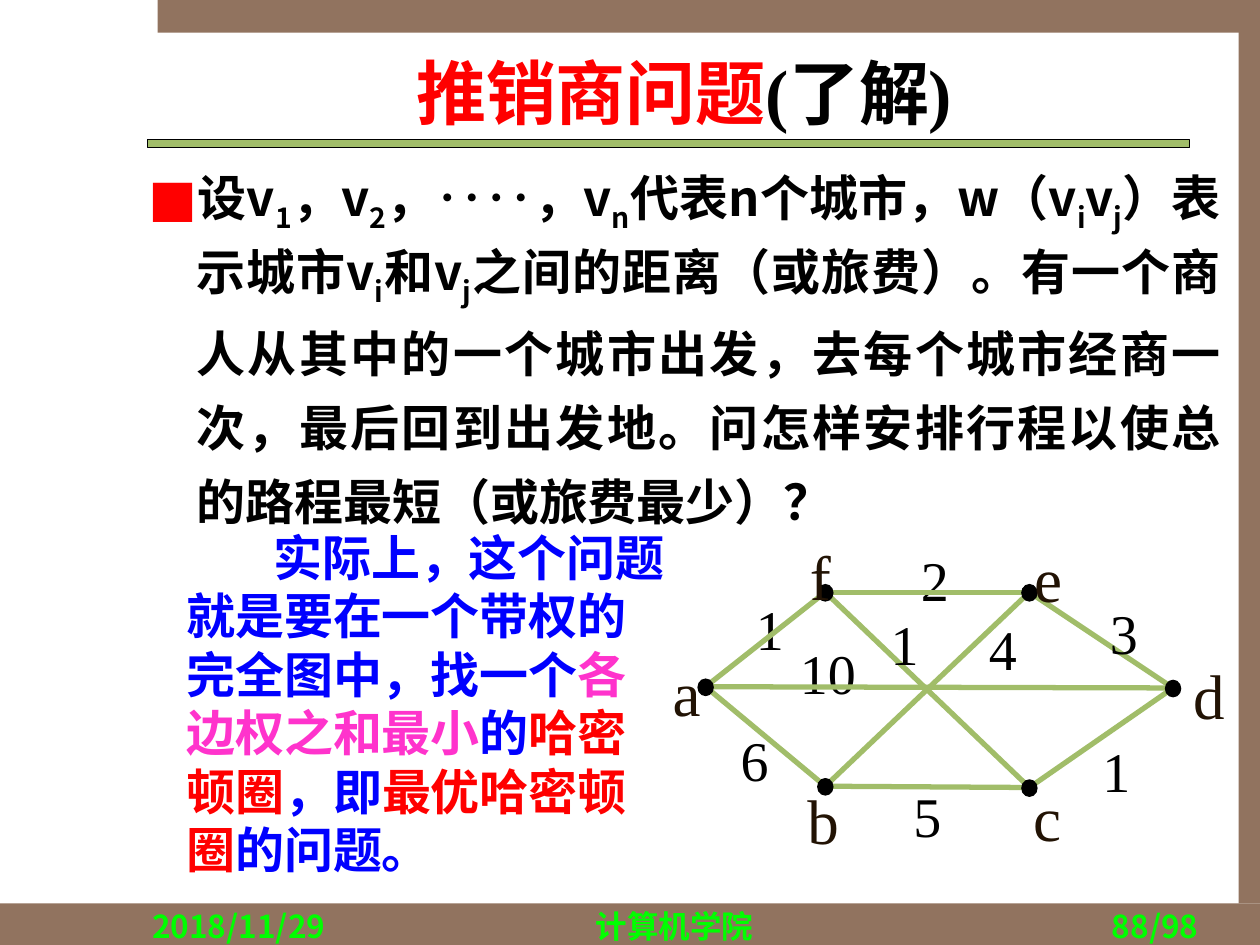
from dataclasses import dataclass
from typing import Any, NamedTuple

from lxml import etree
from pptx import Presentation
from pptx.dml.color import RGBColor
from pptx.enum.shapes import MSO_CONNECTOR, MSO_SHAPE
from pptx.enum.text import MSO_ANCHOR, MSO_AUTO_SIZE, PP_ALIGN
from pptx.oxml.ns import qn
from pptx.util import Inches, Pt

RECT, OVAL = MSO_SHAPE.RECTANGLE, MSO_SHAPE.OVAL
LEFT, MID, RIGHT, JUST = PP_ALIGN.LEFT, PP_ALIGN.CENTER, PP_ALIGN.RIGHT, PP_ALIGN.JUSTIFY


@dataclass(frozen=True)
class Theme:
    """Colours, fonts and type sizes of the slide."""
    brown: str = "91735F"
    green: str = "A1BD69"
    lime: str = "00FF00"
    black: str = "000000"
    dark: str = "221304"
    red: str = "FF0000"
    blue: str = "0000FF"
    pink: str = "FF33CC"
    sans: str = "Noto Sans CJK SC"
    serif: str = "Times New Roman"
    title: int = 40
    body: int = 28
    foot: int = 18
    node: int = 36
    cost: int = 32


class Box(NamedTuple):
    """A place on the slide in inches."""
    x: float
    y: float
    w: float
    h: float


class Bar(NamedTuple):
    """A filled bar of the frame."""
    box: Box
    fill: str
    edge: bool = False


class Foot(NamedTuple):
    """A footer entry."""
    text: str
    x: float
    w: float
    align: Any


class Mark(NamedTuple):
    """A label of the graph."""
    text: str
    x: float
    y: float
    w: float = 0.42


class Span(NamedTuple):
    """A piece of coloured text."""
    text: str
    hue: str


T = Theme()
BARS = (
    Bar(Box(0, 7.17, 10, 0.33), T.brown),
    Bar(Box(1.25, 0, 8.75, 0.26), T.brown),
    Bar(Box(9.83, 0.25, 0.17, 6.92), T.brown),
    Bar(Box(1.17, 1.11, 8.27, 0.06), T.green, True),
)
FEET = (
    Foot("2018/11/29", 1.11, 2.08, LEFT),
    Foot("计算机学院", 3.19, 4.33, MID),
    Foot("88/98", 7.53, 2.08, RIGHT),
)
HEAD = (Span("推销商问题", T.red), Span("(了解)", T.black))
# Every second piece between bars is a subscript.
TASK = ("设v|1|，v|2|，‥‥，v|n|代表n个城市，w（v|i|v|j|）表示城市v|i|和v|j|"
        "之间的距离（或旅费）。有一个商人从其中的一个城市出发，去每个城市经商一次，"
        "最后回到出发地。问怎样安排行程以使总的路程最短（或旅费最少）？")
NOTE = (
    Span("实际上，这个问题就是要在一个带权的完全图中，找一个", T.blue),
    Span("各边权之和最小", T.pink), Span("的", T.blue),
    Span("哈密顿圈", T.red), Span("，即", T.blue),
    Span("最优哈密顿圈", T.red), Span("的问题。", T.blue),
)
NODES = {"a": (5.6, 5.45), "b": (6.55, 6.24), "c": (8.17, 6.25),
         "d": (9.31, 5.46), "e": (8.17, 4.7), "f": (6.55, 4.7)}
EDGES = ("be", "fc", "ab", "bc", "cd", "ad", "af", "fe", "ed")
BACK = (
    Mark("a", 5.24, 5.14), Mark("b", 6.31, 6.15, 0.45),
    Mark("c", 8.1, 6.13), Mark("d", 9.37, 5.16, 0.45),
    Mark("1", 5.9, 4.67), Mark("2", 7.21, 4.28), Mark("5", 7.15, 6.15),
    Mark("6", 5.78, 5.71), Mark("10", 6.25, 5.02, 0.65),
)
FRONT = (
    Mark("f", 6.33, 4.22, 0.37), Mark("e", 8.11, 4.23),
    Mark("1", 6.97, 4.79), Mark("1", 8.65, 5.8),
    Mark("4", 7.75, 4.83), Mark("3", 8.71, 4.7),
)


def rgb(hue: str) -> RGBColor:
    """Turn a hex string into a colour."""
    return RGBColor.from_string(hue)


def style(para: Any, face: str, size: int, hue: str, bold: bool = True) -> None:
    """Set the font of a whole paragraph."""
    font = para.font
    font.name, font.size, font.bold = face, Pt(size), bold
    font.color.rgb = rgb(hue)
    latin = para._p.pPr.find(qn("a:defRPr")).find(qn("a:latin"))
    east = etree.Element(qn("a:ea"), typeface=T.sans)
    latin.addnext(east)


def place(shape: Any, box: Box) -> None:
    """Move a shape to a box."""
    shape.left, shape.top, shape.width, shape.height = map(Inches, box)


def solid(host: Any, kind: Any, box: Box, fill: str, edge: bool) -> None:
    """Draw a filled shape, with a thin black edge if asked."""
    shape = host.add_shape(kind, *map(Inches, box))
    shape.shadow.inherit = False
    shape.fill.solid()
    shape.fill.fore_color.rgb = rgb(fill)
    if edge:
        shape.line.color.rgb = rgb(T.black)
        shape.line.width = Pt(0.75)
    else:
        shape.line.fill.background()


def text(host: Any, box: Box, wrap: bool = True) -> Any:
    """Add a text box and return its frame."""
    frame = host.add_textbox(*map(Inches, box)).text_frame
    frame.word_wrap = wrap
    return frame


def spans(para: Any, parts: tuple[Span, ...]) -> None:
    """Add coloured runs to a paragraph."""
    for part in parts:
        run = para.add_run()
        run.text = part.text
        run.font.color.rgb = rgb(part.hue)


def label(host: Any, mark: Mark) -> None:
    """Write a node name or an edge cost."""
    size, hue, high = ((T.node, T.dark, 0.7) if mark.text in NODES
                       else (T.cost, T.black, 0.63))
    para = text(host, Box(mark.x, mark.y, mark.w, high), False).paragraphs[0]
    para.text = mark.text
    style(para, T.serif, size, hue, False)


def link(host: Any, start: str, end: str) -> None:
    """Join two nodes with a line."""
    ends = map(Inches, NODES[start] + NODES[end])
    line = host.add_connector(MSO_CONNECTOR.STRAIGHT, *ends)
    line.line.color.rgb = rgb(T.green)
    line.line.width = Pt(3)
    etree.SubElement(line._element.spPr, qn("a:effectLst"))


def graph(host: Any) -> None:
    """Draw the weighted graph."""
    for mark in BACK:
        label(host, mark)
    for start, end in EDGES:
        link(host, start, end)
    for x, y in NODES.values():
        solid(host, OVAL, Box(x - 0.06, y - 0.06, 0.12, 0.13), T.black, True)
    for mark in FRONT:
        label(host, mark)


def title(shape: Any) -> None:
    """Fill the title."""
    place(shape, Box(1.42, 0.33, 8.02, 0.79))
    frame = shape.text_frame
    frame.auto_size, frame.vertical_anchor = MSO_AUTO_SIZE.NONE, MSO_ANCHOR.MIDDLE
    para = frame.paragraphs[0]
    para.alignment = MID
    style(para, T.serif, T.title, T.black)
    spans(para, HEAD)


def body(shape: Any) -> None:
    """Fill the bulleted statement of the problem."""
    place(shape, Box(1.14, 1.23, 8.59, 2.88))
    frame = shape.text_frame
    frame.auto_size = MSO_AUTO_SIZE.NONE
    frame.margin_left = frame.margin_right = Inches(0.04)
    frame.margin_top = frame.margin_bottom = Inches(0.04)
    para = frame.paragraphs[0]
    props = para._p.get_or_add_pPr()
    props.set("marL", str(Inches(0.38)))
    props.set("indent", str(Inches(-0.38)))
    tint = etree.SubElement(props, qn("a:buClr"))
    etree.SubElement(tint, qn("a:srgbClr"), val=T.red)
    etree.SubElement(props, qn("a:buFont"), typeface=T.sans)
    etree.SubElement(props, qn("a:buChar"), char="■")
    para.alignment, para.line_spacing, para.space_before = JUST, Pt(42.3), Pt(0)
    style(para, T.sans, T.body, T.black)
    for rank, part in enumerate(TASK.split("|")):
        run = para.add_run()
        run.text = part
        if rank % 2:
            run._r.get_or_add_rPr().set("baseline", "-25000")


def note(host: Any) -> None:
    """Write the remark beside the graph."""
    para = text(host, Box(1.38, 4.14, 4.02, 2.9)).paragraphs[0]
    para._p.get_or_add_pPr().set("indent", str(Inches(0.69)))
    para.line_spacing = Pt(33.4)
    style(para, T.serif, T.body, T.blue)
    spans(para, NOTE)


def main() -> None:
    """Build and save the slide."""
    deck = Presentation()
    deck.slide_width, deck.slide_height = Inches(10), Inches(7.5)
    slide = deck.slides.add_slide(deck.slide_layouts[1])
    host = slide.shapes
    for bar in BARS:
        solid(host, RECT, *bar)
    for foot in FEET:
        para = text(host, Box(foot.x, 7.15, foot.w, 0.18)).paragraphs[0]
        para.text, para.alignment = foot.text, foot.align
        style(para, T.sans, T.foot, T.lime)
    title(host.title)
    body(slide.placeholders[1])
    graph(host.add_group_shape().shapes)
    note(host)
    deck.save("out.pptx")


main()
